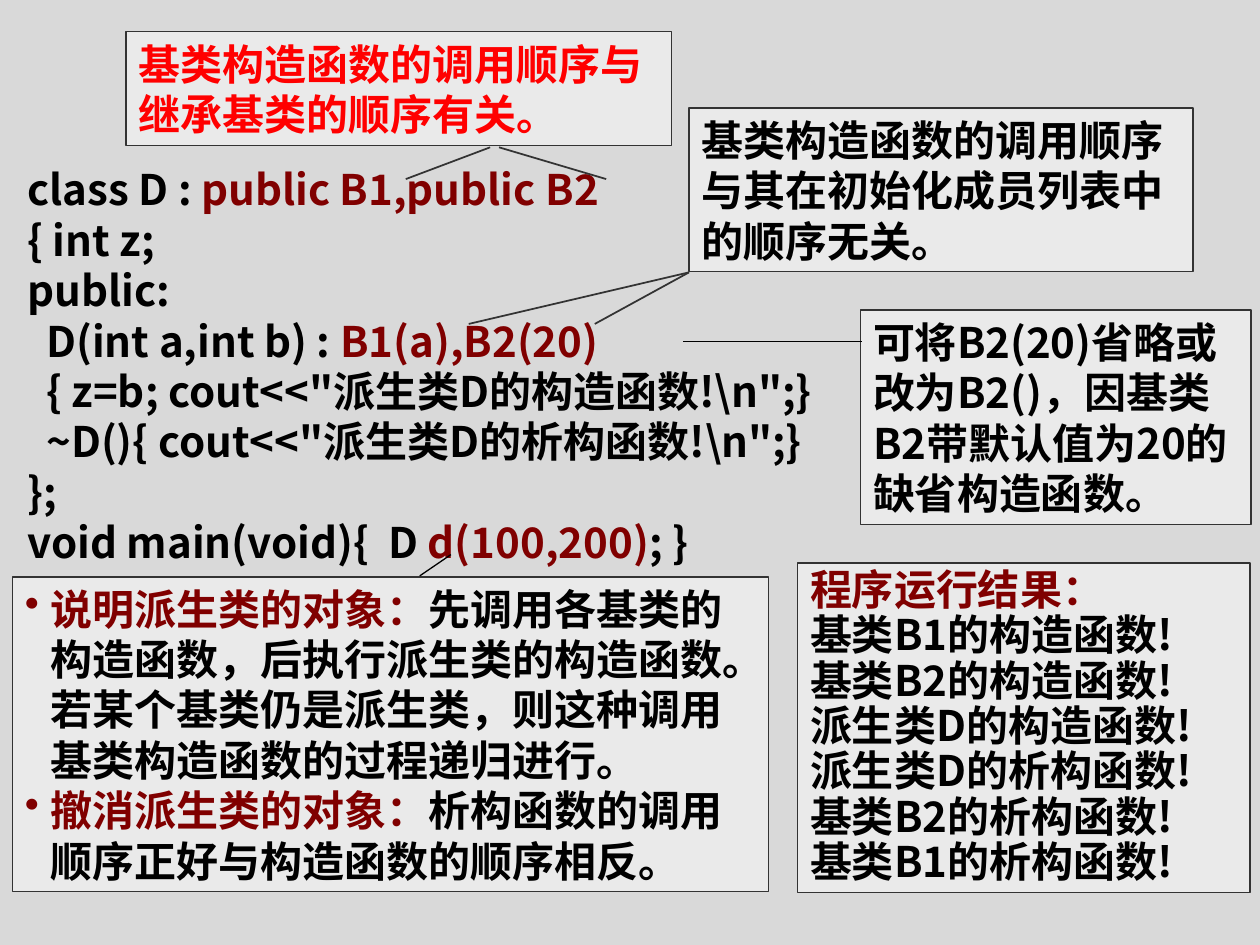
"""Build a slide on constructor call order under multiple inheritance."""
from dataclasses import dataclass

from lxml import etree
from pptx import Presentation
from pptx import util as u
from pptx.dml.color import RGBColor
from pptx.enum import shapes, text
from pptx.oxml.ns import qn

BACKGROUND = RGBColor(0xD9, 0xD9, 0xD9)
PANEL = RGBColor(0xEA, 0xEA, 0xEA)
BORDER = RGBColor(0x33, 0x33, 0x33)
BLACK = RGBColor(0, 0, 0)
MAROON = RGBColor(0x80, 0, 0)
RED = RGBColor(0xFF, 0, 0)
SANS = "Noto Sans CJK SC"
SERIF = "Times New Roman"


@dataclass
class Box:
    left: float
    top: float
    width: float
    height: float
    lines: list
    font: str = SANS
    framed: bool = True
    middle: bool = False
    hang: float = 0
    bullet: str = ""
    spacing: float = 1.0
    justified: bool = False


@dataclass
class Line:
    x1: float
    y1: float
    x2: float
    y2: float
    color: RGBColor = BORDER
    width: float = 1


CODE = [
    [("class D : ", BLACK), ("public B1,public B2", MAROON)],
    [("{ int z;", BLACK)],
    [("public:", BLACK)],
    [("  D(int a,int b) : ", BLACK), ("B1(a),B2(20)", MAROON)],
    [('  { z=b; cout<<"派生类D的构造函数!\\n";}', BLACK)],
    [('  ~D(){ cout<<"派生类D的析构函数!\\n";}', BLACK)],
    [("};", BLACK)],
    [("void main(void){  D ", BLACK), ("d(100,200)", MAROON), ("; }", BLACK)],
]
CALLS = ["基类B1的构造函数!", "基类B2的构造函数!", "派生类D的构造函数!",
         "派生类D的析构函数!", "基类B2的析构函数!", "基类B1的析构函数!"]
RESULT = [[("程序运行结果：", MAROON)]] + [[(call, BLACK)] for call in CALLS]
RULES = [
    [("说明派生类的对象：", MAROON),
     ("先调用各基类的构造函数，后执行派生类的构造函数。若某个基类仍是派生类，"
      "则这种调用基类构造函数的过程递归进行。", BLACK)],
    [("撤消派生类的对象：", MAROON),
     ("析构函数的调用顺序正好与构造函数的顺序相反。", BLACK)],
]

BOXES = [
    Box(0.3, 3.18, 24.77, 8.38, CODE, framed=False, hang=0.79, justified=True),
    Box(16.08, 11.35, 9.12, 6.65, RESULT, spacing=0.9),
    Box(2.54, 0.64, 11, 2.29,
        [[("基类构造函数的调用顺序与继承基类的顺序有关。", RED)]],
        font=SERIF, middle=True),
    Box(13.89, 2.18, 10.16, 3.3,
        [[("基类构造函数的调用顺序与其在初始化成员列表中的顺序无关。", BLACK)]],
        font=SERIF, middle=True),
    Box(0.25, 11.63, 15.24, 6.35, RULES, hang=0.51, bullet="•"),
    Box(17.35, 6.25, 7.87, 4.32,
        [[("可将B2(20)省略或改为B2()，因基类B2带默认值为20的缺省构造函数。", BLACK)]]),
]
LINES = [
    Line(9.88, 2.97, 8.18, 3.61),
    Line(10.06, 2.97, 12.22, 3.61),
    Line(13.89, 5.49, 9.45, 6.53),
    Line(13.89, 5.49, 11.99, 6.53),
    Line(9.09, 11.18, 8.46, 11.61, BLACK, 0.75),
    Line(13.77, 6.88, 17.37, 6.88, BLACK, 0.75),
]


def add_run(p, content: str, *, font: str, color: RGBColor, size: int = 24) -> None:
    """Append a bold run in one font for Latin and East Asian text."""
    r = p.add_run()
    r.text = content
    r.font.name, r.font.size, r.font.bold = font, u.Pt(size), True
    r.font.color.rgb = color
    ea = etree.SubElement(r.font._element, qn("a:ea"))
    ea.set("typeface", SANS)


def set_indent(p, hang: float, bullet: str) -> None:
    """Give a paragraph a hanging indent and an optional maroon bullet."""
    pPr = p._p.get_or_add_pPr()
    pPr.set("marL", str(u.Cm(hang)))
    pPr.set("indent", str(-u.Cm(hang)))
    if bullet:
        clr = etree.SubElement(pPr, qn("a:buClr"))
        etree.SubElement(clr, qn("a:srgbClr")).set("val", str(MAROON))
        etree.SubElement(pPr, qn("a:buChar")).set("char", bullet)


def add_box(s, box: Box) -> None:
    """Draw a text panel or a plain text box."""
    place = [u.Cm(v) for v in (box.left, box.top, box.width, box.height)]
    if box.framed:
        sp = s.shapes.add_shape(shapes.MSO_SHAPE.RECTANGLE, *place)
        sp.shadow.inherit = False
        sp.fill.solid()
        sp.fill.fore_color.rgb = PANEL
        sp.line.color.rgb = BORDER
        sp.line.width = u.Pt(0.75)
    else:
        sp = s.shapes.add_textbox(*place)
    tf = sp.text_frame
    tf.word_wrap = True
    tf.auto_size = text.MSO_AUTO_SIZE.SHAPE_TO_FIT_TEXT
    tf.vertical_anchor = text.MSO_ANCHOR.MIDDLE if box.middle else text.MSO_ANCHOR.TOP
    for i, runs in enumerate(box.lines):
        p = tf.add_paragraph() if i else tf.paragraphs[0]
        p.alignment = text.PP_ALIGN.JUSTIFY if box.justified else text.PP_ALIGN.LEFT
        p.line_spacing = box.spacing
        if box.hang:
            set_indent(p, box.hang, box.bullet)
        for content, color in runs:
            add_run(p, content, font=box.font, color=color)


def add_line(s, line: Line) -> None:
    """Draw a straight pointer without a shadow."""
    ends = [u.Cm(v) for v in (line.x1, line.y1, line.x2, line.y2)]
    cxn = s.shapes.add_connector(shapes.MSO_CONNECTOR.STRAIGHT, *ends)
    cxn.line.color.rgb = line.color
    cxn.line.width = u.Pt(line.width)
    etree.SubElement(cxn._element.spPr, qn("a:effectLst"))


def main() -> None:
    """Assemble and save the slide."""
    prs = Presentation()
    prs.slide_width, prs.slide_height = u.Cm(25.4), u.Cm(19.05)
    s = prs.slides.add_slide(prs.slide_layouts[6])
    s.background.fill.solid()
    s.background.fill.fore_color.rgb = BACKGROUND
    for box in BOXES:
        add_box(s, box)
    for line in LINES:
        add_line(s, line)
    prs.save("out.pptx")


if __name__ == "__main__":
    main()
